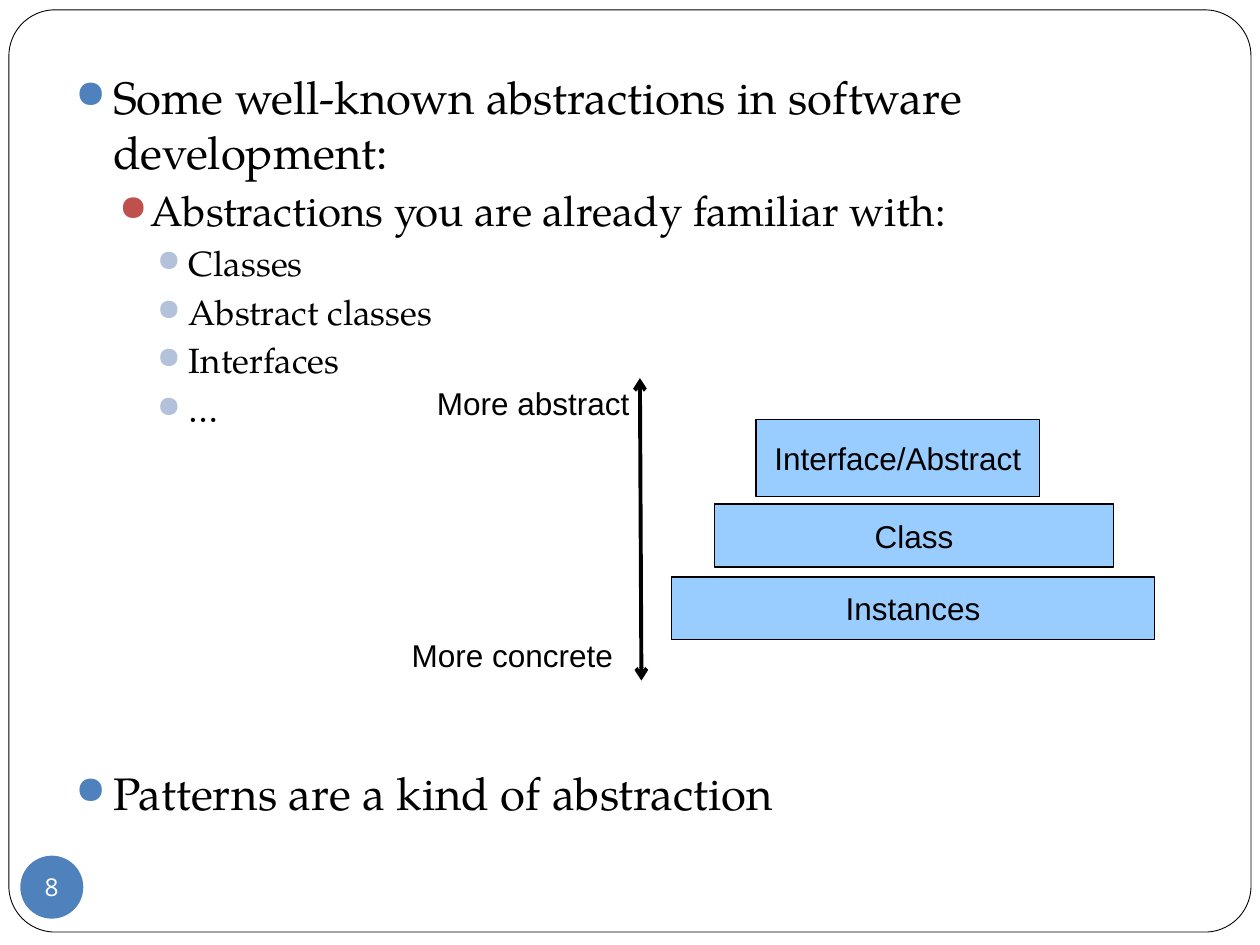
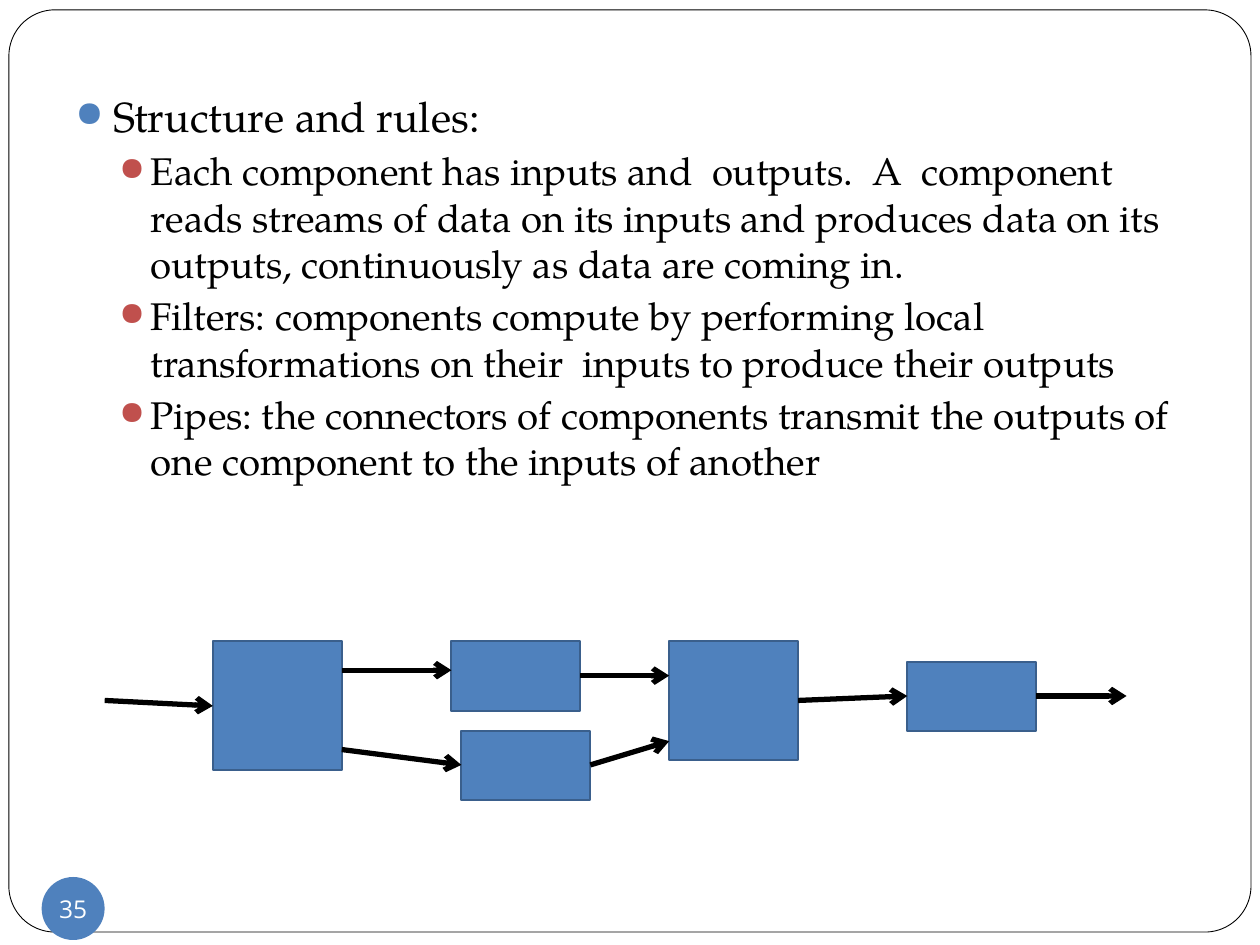
from lxml.etree import SubElement
from pptx import Presentation
from pptx.dml.color import RGBColor
from pptx.enum.shapes import MSO_CONNECTOR as CONN, MSO_SHAPE as SHAPE
from pptx.enum.text import MSO_ANCHOR as ANCHOR, PP_ALIGN as ALIGN
from pptx.oxml.ns import qn
from pptx.util import Cm, Pt

COLORS = {
    "white": "FFFFFF", "black": "000000", "blue": "4F81BD", "edge": "3A5F8C",
    "red": "C0504D", "pale": "B3C1DB", "sky": "99CCFF",
}
BODY_FONT, LABEL_FONT, NUMBER_FONT = "TeX Gyre Pagella", "Arial", "Open Sans"
LEVELS = [
    ("blue", 0.76, -0.76, 5.8),
    ("red", 1.52, -0.64, 3.7),
    ("pale", 2.29, -0.64, 3.7),
]


def rgb(name):
    return RGBColor.from_string(COLORS[name])


def add_text(p, text, size=18, font=LABEL_FONT, color="black", align=None):
    r = p.add_run()
    r.text = text
    r.font.size, r.font.name = Pt(size), font
    r.font.color.rgb = rgb(color)
    p.alignment = align


def add_box(s, kind, box, fill, line=None, width=0):
    sp = s.shapes.add_shape(kind, *map(Cm, box))
    sp.shadow.inherit = False
    sp.fill.solid()
    sp.fill.fore_color.rgb = rgb(fill)
    if line:
        sp.line.color.rgb = rgb(line)
        sp.line.width = Pt(width)
    else:
        sp.line.fill.background()
    return sp


def add_arrow(s, x1, y1, x2, y2, width, ends=("tailEnd",)):
    c = s.shapes.add_connector(CONN.STRAIGHT, *map(Cm, (x1, y1, x2, y2)))
    c.line.color.rgb = rgb("black")
    c.line.width = Pt(width)
    for end in ends:
        SubElement(c.line._get_or_add_ln(), qn("a:" + end), type="arrow")
    SubElement(c._element.spPr, qn("a:effectLst"))


def add_label(s, text, box):
    tf = s.shapes.add_textbox(*map(Cm, box)).text_frame
    tf.word_wrap = True
    add_text(tf.paragraphs[0], text)


def add_bullet(p, level, before=None):
    color, margin, indent, space = LEVELS[level]
    p.level = level
    p.space_before = Pt(before or space)
    pPr = p._p.get_or_add_pPr()
    pPr.set("marL", str(Cm(margin)))
    pPr.set("indent", str(Cm(indent)))
    SubElement(SubElement(pPr, qn("a:buClr")), qn("a:srgbClr"), val=COLORS[color])
    SubElement(pPr, qn("a:buSzPct"), val="85000")
    SubElement(pPr, qn("a:buChar"), char="●")


def add_body(s, box, items, sizes):
    tf = s.shapes.add_textbox(*map(Cm, box)).text_frame
    tf.word_wrap = True
    for i, (level, text, *before) in enumerate(items):
        p = tf.add_paragraph() if i else tf.paragraphs[0]
        add_bullet(p, level, *before)
        add_text(p, text, size=sizes[level], font=BODY_FONT)


def add_badge(s, number, left, top):
    tf = add_box(s, SHAPE.OVAL, (left, top, 1.27, 1.27), "blue").text_frame
    tf.margin_left = tf.margin_right = tf.margin_top = tf.margin_bottom = 0
    tf.word_wrap = False
    tf.vertical_anchor = ANCHOR.MIDDLE
    add_text(tf.paragraphs[0], str(number), size=14, font=NUMBER_FONT,
             color="white", align=ALIGN.CENTER)


def add_slide(prs):
    s = prs.slides.add_slide(prs.slide_layouts[6])
    frame = add_box(s, SHAPE.ROUNDED_RECTANGLE, (0.18, 0.2, 25.04, 18.59),
                    "white", "black", 0.5)
    frame.adjustments[0] = 0.05
    return s


def add_abstraction_scale(s, left, top, height):
    layers = [
        ("Interface/Abstract", 7.19, 0.84, 5.72, 1.55),
        ("Class", 6.35, 2.54, 8.05, 1.27),
        ("Instances", 5.49, 4.01, 9.73, 1.27),
    ]
    for text, x, y, w, h in layers:
        sp = add_box(s, SHAPE.RECTANGLE, (left + x, top + y, w, h), "sky", "black")
        sp.text_frame.vertical_anchor = ANCHOR.MIDDLE
        add_text(sp.text_frame.paragraphs[0], text, align=ALIGN.CENTER)
    add_arrow(s, left + 4.88, top + height, left + 4.85, top, 2.25,
              ("headEnd", "tailEnd"))
    add_label(s, "More abstract", (left + 0.51, top, 5.41, 1.02))
    add_label(s, "More concrete", (left, top + height - 1.02, 8.66, 1.02))


def add_pipeline(s, left, top, width):
    filter_width = 2.6
    filters = {
        "split": (2.18, 0, 2.59),
        "upper": (6.99, 0, 1.4),
        "lower": (7.19, 1.8, 1.4),
        "join": (11.38, 0, 2.39),
        "sink": (16.18, 0.41, 1.4),
    }
    pipes = [
        ("inlet", 1.19, "split", 1.3),
        ("split", 0.58, "upper", 0.58),
        ("split", 2.18, "lower", 2.49),
        ("upper", 0.69, "join", 0.69),
        ("lower", 2.49, "join", 2.01),
        ("join", 1.19, "sink", 1.1),
        ("sink", 1.1, "outlet", 1.1),
    ]
    starts = {name: x + filter_width for name, (x, y, h) in filters.items()}
    ends = {name: x for name, (x, y, h) in filters.items()}
    starts["inlet"], ends["outlet"] = 0, width
    for x, y, h in filters.values():
        add_box(s, SHAPE.RECTANGLE, (left + x, top + y, filter_width, h),
                "blue", "edge", 1)
    for source, y1, target, y2 in pipes:
        add_arrow(s, left + starts[source], top + y1,
                  left + ends[target], top + y2, 3)


def build_abstractions(prs):
    s = add_slide(prs)
    add_body(s, (1.27, 1.27, 22.86, 16.51), [
        (0, "Some well-known abstractions in software development:"),
        (1, "Abstractions you are already familiar with:"),
        (2, "Classes"),
        (2, "Abstract classes"),
        (2, "Interfaces"),
        (2, "…"),
        (0, "Patterns are a kind of abstraction", 192),
    ], (26, 24, 20))
    add_badge(s, 8, 0.41, 17.25)
    add_abstraction_scale(s, 8.05, 7.62, 6.1)


def build_pipes_and_filters(prs):
    s = add_slide(prs)
    add_body(s, (1.27, 1.7, 22.86, 8.28), [
        (0, "Structure and rules:"),
        (1, "Each component has inputs and  outputs.  A  component reads streams "
            "of data on its inputs and produces data on its outputs, "
            "continuously as data are coming in."),
        (1, "Filters: components compute by performing local transformations "
            "on their  inputs to produce their outputs"),
        (1, "Pipes: the connectors of components transmit the outputs of one "
            "component to the inputs of another"),
    ], (24, 22))
    add_pipeline(s, 2.11, 12.93, 20.6)
    add_badge(s, 35, 0.84, 17.68)


prs = Presentation()
prs.slide_width, prs.slide_height = Cm(25.4), Cm(19.05)
build_abstractions(prs)
build_pipes_and_filters(prs)
prs.save("out.pptx")
